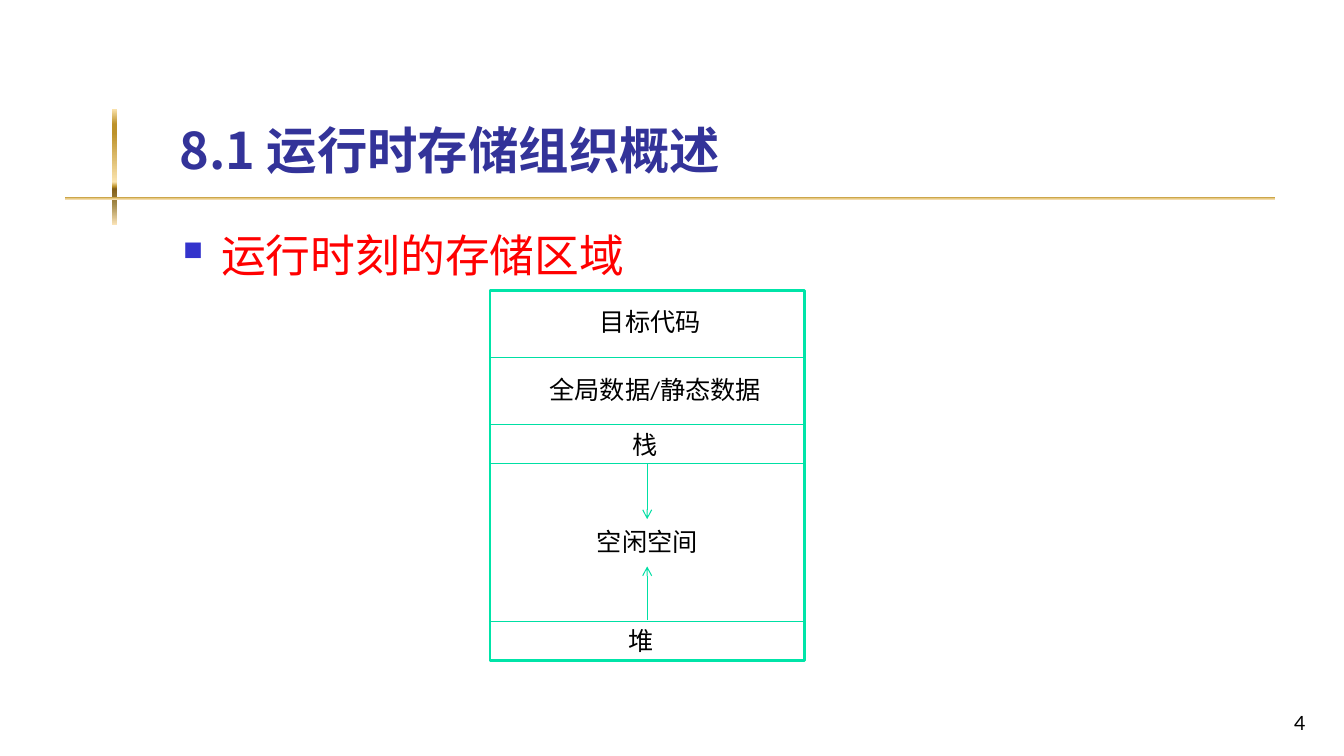
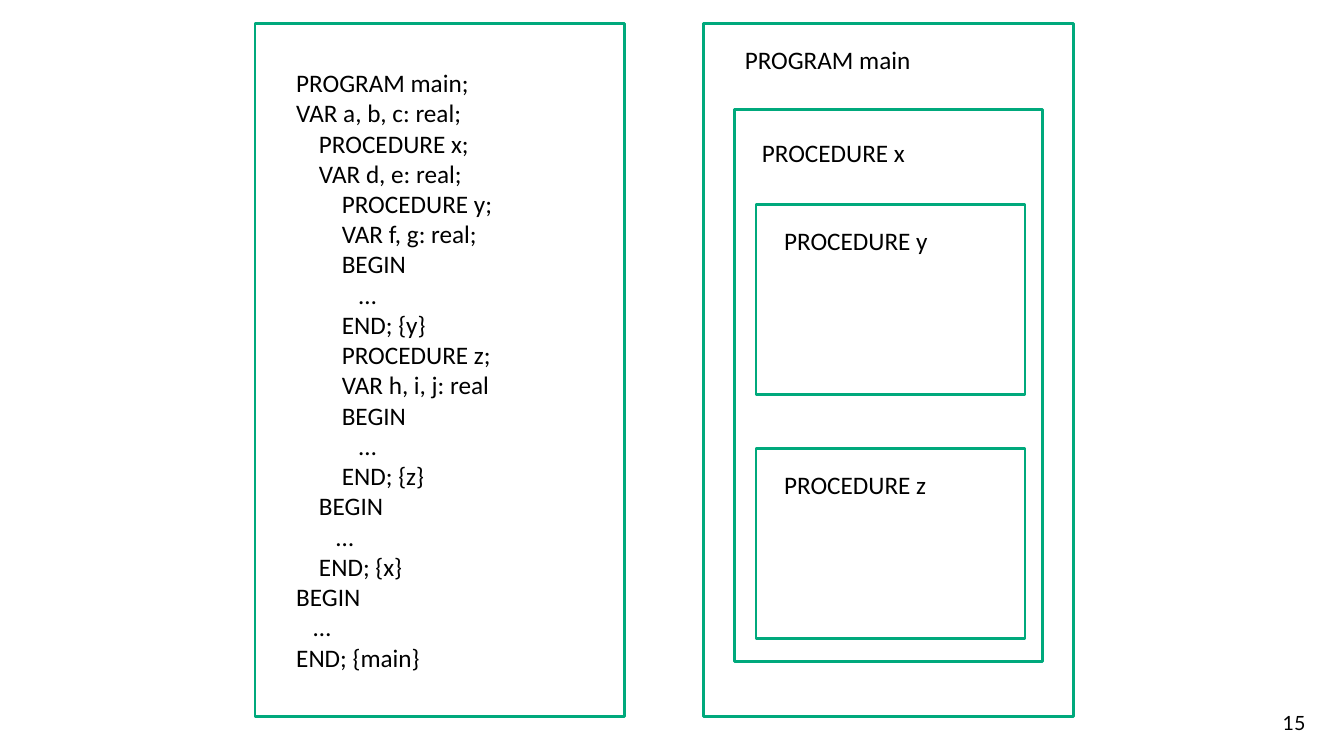
from dataclasses import dataclass

from lxml import etree
from pptx import Presentation
from pptx.dml.color import RGBColor
from pptx.enum.shapes import MSO_CONNECTOR, MSO_SHAPE
from pptx.enum.text import MSO_ANCHOR, PP_ALIGN
from pptx.oxml.ns import qn
from pptx.util import Pt

RECTANGLE = MSO_SHAPE.RECTANGLE
STRAIGHT = MSO_CONNECTOR.STRAIGHT
LEFT, CENTER, RIGHT = PP_ALIGN.LEFT, PP_ALIGN.CENTER, PP_ALIGN.RIGHT
TOP, BOTTOM = MSO_ANCHOR.TOP, MSO_ANCHOR.BOTTOM


@dataclass(frozen=True)
class Theme:
    title: str = "333399"
    bullet: str = "3333CC"
    accent: str = "FF0000"
    text: str = "000000"
    paper: str = "FFFFFF"
    memory_border: str = "00E4A8"
    memory_line: str = "00DFA4"
    scope_border: str = "00A97C"
    gold: tuple = ((0, "FBE4AE"), (13, "BD922A"), (21, "BD922A"), (63, "FBE4AE"),
                   (67, "BD922A"), (69, "835E17"), (82, "A28949"), (100, "FAE3B7"))
    cjk_font: str = "Noto Sans CJK JP"
    label_font: str = "Calibri"
    number_font: str = "Lato"
    title_size: int = 36
    body_size: int = 32
    label_size: int = 18
    number_size: int = 14
    border_width: float = 2
    line_width: float = 0.75
    space_width: float = 4.07


THEME = Theme()
SLIDE_SIZE = (960, 540)
LABEL_HEIGHT = 28.8

TITLE = "8.1 运行时存储组织概述"
TITLE_BOX = (121, 16.6, 818, 115.2)
TOPIC = "运行时刻的存储区域"
TOPIC_BOX = (123.8, 159.1, 815.8, 324)
NUMBER_BOX = (739.4, 491.8, 200.2, 36)
GOLD_BARS = [(79.9, 77.8, 3.6, 82.8), (46.8, 140.4, 864, 2.2)]

MEMORY_BOX = (350, 207.4, 224.6, 264.2)
MEMORY_DIVIDERS = [255.6, 303.1, 331.2, 444.2]
MEMORY_LABELS = [
    ("目标代码", 464.5, 215.3),
    ("全局数据/静态数据", 468, 264.2),
    ("栈", 461, 303.1),
    ("空闲空间", 462.3, 372.2),
    ("堆", 458, 442.8),
]
GROWTH_ARROWS = [(331.2, 370.8), (442.8, 404.6)]

CODE_FRAME = (182.2, 16.6, 264.2, 495.4)
CODE_BOX = (204.5, 44.6, 224.6, 443.5)
CODE = [
    (0, "PROGRAM main;"),
    (0, "VAR a, b, c: real;"),
    (4, "PROCEDURE x;"),
    (4, "VAR d, e: real;"),
    (8, "PROCEDURE y;"),
    (8, "VAR f, g: real;"),
    (8, "BEGIN"),
    (11, "…"),
    (8, "END; {y}"),
    (8, "PROCEDURE z;"),
    (8, "VAR h, i, j: real"),
    (8, "BEGIN"),
    (11, "…"),
    (8, "END; {z}"),
    (4, "BEGIN"),
    (7, "…"),
    (4, "END; {x}"),
    (0, "BEGIN"),
    (3, "…"),
    (0, "END; {main}"),
]
SCOPES = [
    ("PROGRAM main", (502.6, 16.6, 264.2, 495.4), (524.9, 28.1)),
    ("PROCEDURE x", (524.9, 78.5, 219.6, 393.8), (537.1, 94.3)),
    ("PROCEDURE y", (540, 146.2, 192.2, 135.4), (553, 157.7)),
    ("PROCEDURE z", (540, 320.4, 192.2, 135.4), (553, 331.9)),
]
SCOPE_LABEL_WIDTH = 157.7


def points(values):
    return [Pt(value) for value in values]


def color(code):
    return RGBColor.from_string(code)


def add_element(parent, tag, **attributes):
    return etree.SubElement(parent, qn(tag), attributes)


def add_text(slide, box, lines, size, font=THEME.label_font, ink=THEME.text,
             bold=False, align=LEFT, anchor=TOP):
    shape = slide.shapes.add_textbox(*points(box))
    frame = shape.text_frame
    frame.word_wrap = True
    frame.vertical_anchor = anchor
    frame.text = "\n".join(lines)
    for paragraph in frame.paragraphs:
        paragraph.alignment = align
        for run in paragraph.runs:
            run.font.name = font
            run.font.size = Pt(size)
            run.font.bold = bold
            run.font.color.rgb = color(ink)
            add_element(run.font._element, "a:ea", typeface=THEME.cjk_font)
    return frame.paragraphs


def add_rectangle(slide, box, border=None, fill=None):
    shape = slide.shapes.add_shape(RECTANGLE, *points(box))
    shape.shadow.inherit = False
    if fill:
        shape.fill.solid()
        shape.fill.fore_color.rgb = color(fill)
    else:
        shape.fill.background()
    if border:
        shape.line.color.rgb = color(border)
        shape.line.width = Pt(THEME.border_width)
    else:
        shape.line.fill.background()
    return shape


def add_gold_bar(slide, box):
    shape = add_rectangle(slide, box)
    shape.fill.gradient()
    shape.fill.gradient_angle = 270
    stops = shape._element.spPr.find(qn("a:gradFill")).find(qn("a:gsLst"))
    for stop in list(stops):
        stops.remove(stop)
    for position, code in THEME.gold:
        stop = add_element(stops, "a:gs", pos=str(position * 1000))
        add_element(stop, "a:srgbClr", val=code)


def add_line(slide, start, end, arrow=False):
    connector = slide.shapes.add_connector(STRAIGHT, *points(start + end))
    connector.line.color.rgb = color(THEME.memory_line)
    connector.line.width = Pt(THEME.line_width)
    if arrow:
        add_element(connector.line._get_or_add_ln(), "a:tailEnd", type="arrow")
    add_element(connector._element.spPr, "a:effectLst")


def indent(paragraph, margin, first_line=0):
    properties = paragraph._element.get_or_add_pPr()
    properties.set("marL", str(Pt(margin)))
    properties.set("indent", str(Pt(first_line)))
    return properties


def add_bullet(paragraph):
    properties = indent(paragraph, 27, -27)
    bullet_color = add_element(properties, "a:buClr")
    add_element(bullet_color, "a:srgbClr", val=THEME.bullet)
    add_element(properties, "a:buSzPct", val="60000")
    add_element(properties, "a:buFont", typeface="Wingdings")
    add_element(properties, "a:buChar", char="n")


def add_slide(presentation, number):
    slide = presentation.slides.add_slide(presentation.slide_layouts[6])
    add_text(slide, NUMBER_BOX, [number], THEME.number_size,
             font=THEME.number_font, align=RIGHT, anchor=BOTTOM)
    return slide


def build_memory_slide(presentation):
    slide = add_slide(presentation, "4")
    for bar in GOLD_BARS:
        add_gold_bar(slide, bar)
    add_text(slide, TITLE_BOX, [TITLE], THEME.title_size, font=THEME.cjk_font,
             ink=THEME.title, bold=True, anchor=BOTTOM)
    topic = add_text(slide, TOPIC_BOX, [TOPIC], THEME.body_size,
                     font=THEME.cjk_font, ink=THEME.accent)
    add_bullet(topic[0])

    add_rectangle(slide, MEMORY_BOX, THEME.memory_border, THEME.paper)
    left, _, width, _ = MEMORY_BOX
    for y in MEMORY_DIVIDERS:
        add_line(slide, (left, y), (left + width, y))
    middle = left + width / 2
    for start, end in GROWTH_ARROWS:
        add_line(slide, (middle, start), (middle, end), arrow=True)
    for label, center, top in MEMORY_LABELS:
        add_text(slide, (center - width / 2, top, width, LABEL_HEIGHT), [label],
                 THEME.label_size, align=CENTER)


def build_scope_slide(presentation):
    slide = add_slide(presentation, "15")
    add_rectangle(slide, CODE_FRAME, THEME.scope_border)
    lines = add_text(slide, CODE_BOX, [text for _, text in CODE], THEME.label_size)
    for paragraph, (spaces, _) in zip(lines, CODE):
        indent(paragraph, spaces * THEME.space_width)
    for label, box, corner in SCOPES:
        add_rectangle(slide, box, THEME.scope_border)
        add_text(slide, (*corner, SCOPE_LABEL_WIDTH, LABEL_HEIGHT), [label],
                 THEME.label_size)


def main():
    presentation = Presentation()
    presentation.slide_width, presentation.slide_height = points(SLIDE_SIZE)
    build_memory_slide(presentation)
    build_scope_slide(presentation)
    presentation.save("out.pptx")


if __name__ == "__main__":
    main()
